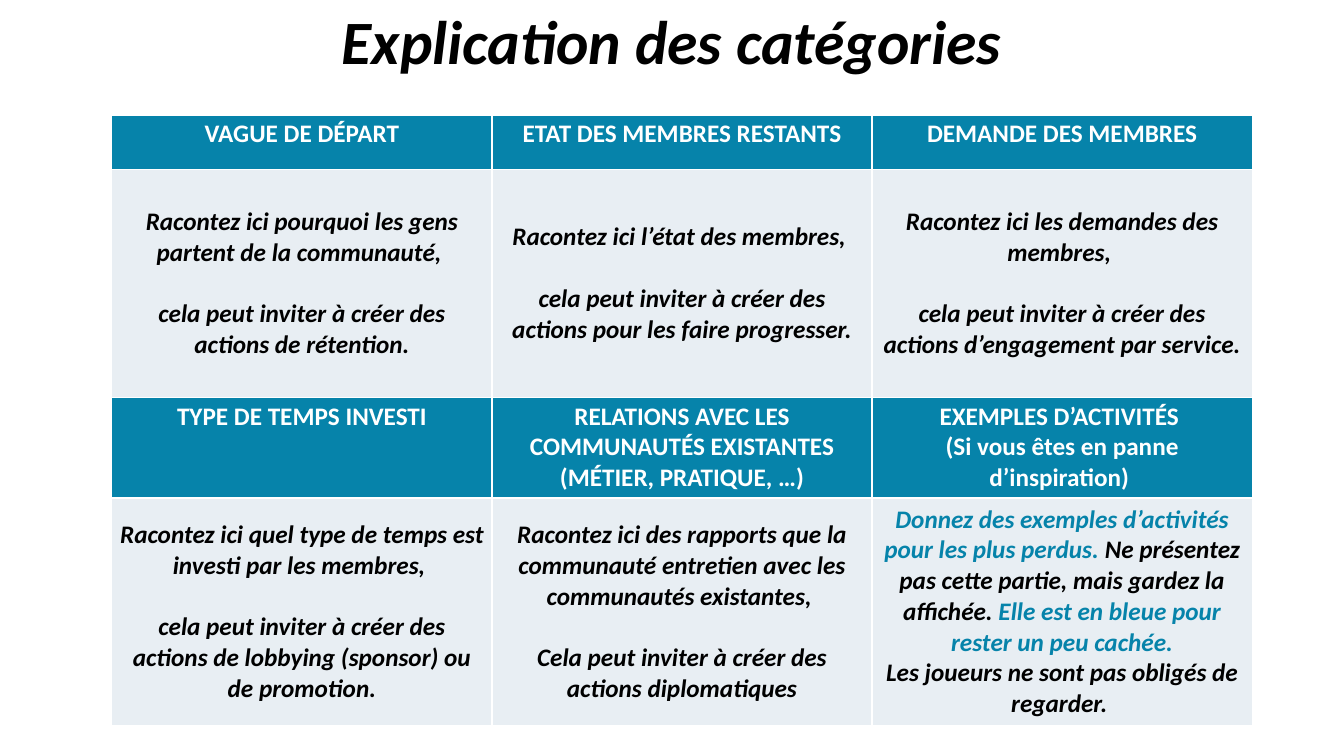
from lxml import etree
from pptx import Presentation
from pptx.dml.color import RGBColor
from pptx.enum.text import MSO_ANCHOR, PP_ALIGN
from pptx.oxml.ns import qn
from pptx.util import Inches, Pt

TOP, MIDDLE = MSO_ANCHOR.TOP, MSO_ANCHOR.MIDDLE
CENTER = PP_ALIGN.CENTER
BLACK = RGBColor(0x00, 0x00, 0x00)
WHITE = RGBColor(0xFF, 0xFF, 0xFF)
BLUE = RGBColor(0x06, 0x83, 0xAA)
PALE = RGBColor(0xE8, 0xEE, 0xF3)
FONT = "Calibri"
TEXT_SIZE = 18
GAP = Pt(22)  # one line of cell text

TITLE = "Explication des catégories"

# Each cell is a list of paragraphs; a paragraph is a string or a list of (text, colour) runs.
HEADINGS_1 = [
    ["VAGUE DE DÉPART"],
    ["ETAT DES MEMBRES RESTANTS"],
    ["DEMANDE DES MEMBRES"],
]
BODIES_1 = [
    ["Racontez ici pourquoi les gens partent de la communauté, ",
     "cela peut inviter à créer des actions de rétention."],
    ["Racontez ici l’état des membres, ",
     "cela peut inviter à créer des actions pour les faire progresser."],
    ["Racontez ici les demandes des membres, ",
     "cela peut inviter à créer des actions d’engagement par service."],
]
HEADINGS_2 = [
    ["TYPE DE TEMPS INVESTI"],
    ["RELATIONS AVEC LES COMMUNAUTÉS EXISTANTES (MÉTIER, PRATIQUE, …)"],
    ["EXEMPLES D’ACTIVITÉS ", "(Si vous êtes en panne d’inspiration) "],
]
BODIES_2 = [
    ["Racontez ici quel type de temps est investi par les membres, ",
     "cela peut inviter à créer des actions de lobbying (sponsor) ou de promotion."],
    ["Racontez ici des rapports que la communauté entretien avec les communautés existantes, ",
     "Cela peut inviter à créer des actions diplomatiques"],
    [[("Donnez des exemples d’activités pour les plus perdus. ", BLUE),
      ("Ne présentez pas cette partie, mais gardez la affichée. ", BLACK),
      ("Elle est en bleue pour rester un peu cachée.", BLUE)],
     [("Les joueurs ne sont pas obligés de regarder. ", BLACK)]],
]
# (height, is heading, cells)
ROWS = [
    (0.54, True, HEADINGS_1),
    (2.26, False, BODIES_1),
    (1.0, True, HEADINGS_2),
    (2.26, False, BODIES_2),
]
TABLE_LEFT, TABLE_TOP, COL_WIDTH = 1.11, 1.14, 3.77


def add_run(p, text, size, color, italic):
    r = p.add_run()
    r.text = text
    r.font.name = FONT
    r.font.size = Pt(size)
    r.font.bold = True
    r.font.italic = italic
    r.font.color.rgb = color


def add_borders(cell):
    """Draw a thin white line on all four sides of the cell."""
    tc_pr = cell._tc.get_or_add_tcPr()
    for i, side in enumerate(("a:lnL", "a:lnR", "a:lnT", "a:lnB")):
        ln = etree.Element(qn(side), w=str(Pt(1)))
        fill = etree.SubElement(ln, qn("a:solidFill"))
        etree.SubElement(fill, qn("a:srgbClr"), val=str(WHITE))
        tc_pr.insert(i, ln)


def fill_cell(cell, paragraphs, heading):
    cell.fill.solid()
    cell.fill.fore_color.rgb = BLUE if heading else PALE
    cell.vertical_anchor = TOP if heading else MIDDLE
    cell.margin_left = cell.margin_right = Inches(0.08)
    cell.margin_top = cell.margin_bottom = Inches(0.04)
    add_borders(cell)
    tf = cell.text_frame
    for i, content in enumerate(paragraphs):
        p = tf.add_paragraph() if i else tf.paragraphs[0]
        p.alignment = CENTER
        plain = isinstance(content, str)
        if i and plain and not heading:
            p.space_before = GAP
        runs = [(content, WHITE if heading else BLACK)] if plain else content
        for text, color in runs:
            add_run(p, text, TEXT_SIZE, color, not heading)


def add_title(slide):
    sp = slide.shapes.add_textbox(Inches(0), Inches(0.06), Inches(13.33), Inches(1))
    tf = sp.text_frame
    tf.word_wrap = True
    p = tf.paragraphs[0]
    p.alignment = CENTER
    p.line_spacing = 0.9
    add_run(p, TITLE, 44, BLACK, True)


def add_categories(slide):
    n_cols = len(HEADINGS_1)
    height = sum(row[0] for row in ROWS)
    table = slide.shapes.add_table(
        len(ROWS), n_cols, Inches(TABLE_LEFT), Inches(TABLE_TOP),
        Inches(COL_WIDTH * n_cols), Inches(height)).table
    for col in table.columns:
        col.width = Inches(COL_WIDTH)
    for r, (row_height, heading, cells) in enumerate(ROWS):
        table.rows[r].height = Inches(row_height)
        for c, paragraphs in enumerate(cells):
            fill_cell(table.cell(r, c), paragraphs, heading)


def main():
    prs = Presentation()
    prs.slide_width, prs.slide_height = Inches(13.33), Inches(7.5)
    slide = prs.slides.add_slide(prs.slide_layouts[6])
    add_title(slide)
    add_categories(slide)
    prs.save("out.pptx")


if __name__ == "__main__":
    main()
